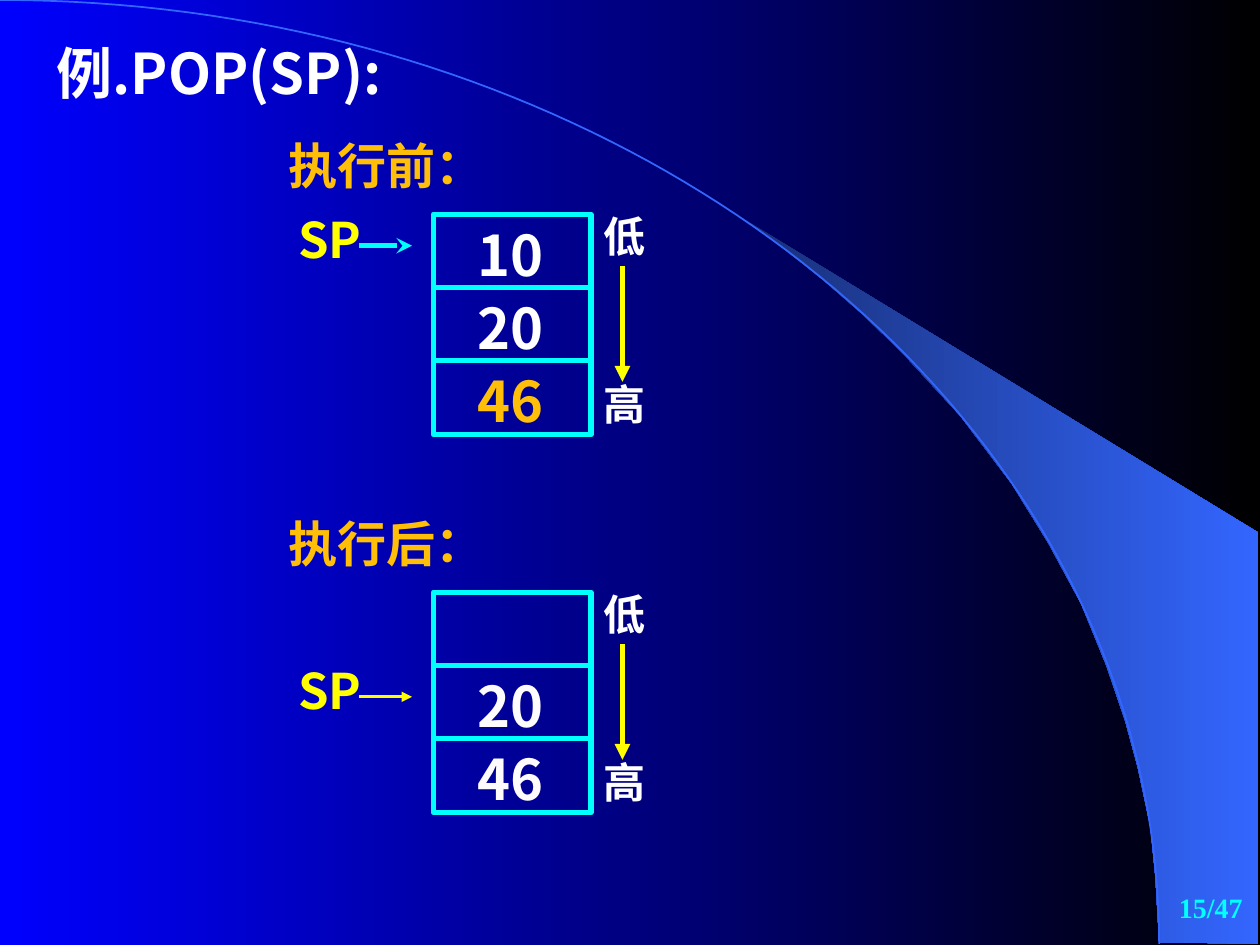
from lxml import etree
from pptx import Presentation
from pptx import util as u
from pptx.dml.color import RGBColor
from pptx.enum import shapes, text
from pptx.oxml import ns

# Content
SANS, SERIF = "Noto Sans CJK SC", "Times New Roman"
WHITE, OFF_WHITE, GOLD = "FFFFFF", "FDFBFB", "FFBF09"
YELLOW, CYAN, BLUE = "FFFF00", "00FFFF", "3366FF"

TITLE = "例.POP(SP):"
PAGE = "15/47"
STACKS = [
    {"heading": "执行前：", "width": 2, "top": 1.7, "pointer_row": 0,
     "arrow": (CYAN, 3, "stealth"),
     "cells": [("10", WHITE), ("20", WHITE), ("46", GOLD)]},
    {"heading": "执行后：", "width": 2.25, "top": 4.7, "pointer_row": 1,
     "arrow": (YELLOW, 1.5, "triangle"),
     "cells": [("", WHITE), ("20", OFF_WHITE), ("46", OFF_WHITE)]},
]
STACK_LEFT, STACK_RIGHT, STACK_HEIGHT, ROW = 3.44, 4.69, 1.75, 0.58

SWOOSH = [(9.2, 7.48), (9.99, 7.49), (9.99, 4.23), (5.89, 1.73), (6.24, 1.99),
          (6.53, 2.22), (6.85, 2.5), (7.16, 2.8), (7.62, 3.3), (8.03, 3.84),
          (8.32, 4.31), (8.58, 4.79), (8.78, 5.28), (8.93, 5.72), (9.03, 6.09),
          (9.13, 6.56), (9.17, 6.96), (9.2, 7.48)]
ARC = [(0, 0), (5.08, 0), (9.2, 3.35), (9.2, 7.49)]
ARC_STEPS = 80


def color(value):
    return RGBColor.from_string(value)


def set_gradient(fill, start, end):
    fill.gradient()
    fill.gradient_angle = 0
    for stop, value in zip(fill.gradient_stops, (start, end)):
        stop.color.rgb = color(value)


def set_line(shape, value, width):
    shape.line.color.rgb = color(value)
    shape.line.width = u.Pt(width)


def write(shape, words, size, value, font=SANS, spacing=None,
          align=text.PP_ALIGN.LEFT, anchor=text.MSO_ANCHOR.TOP):
    frame = shape.text_frame
    frame_format = {"word_wrap": True, "auto_size": text.MSO_AUTO_SIZE.NONE,
                    "vertical_anchor": anchor}
    for name, setting in frame_format.items():
        setattr(frame, name, setting)
    paragraph = frame.paragraphs[0]
    paragraph.alignment = align
    paragraph.line_spacing = spacing
    run = paragraph.add_run()
    run.text = words
    for name, setting in {"size": u.Pt(size), "bold": True, "name": font}.items():
        setattr(run.font, name, setting)
    run.font.color.rgb = color(value)
    east_asian = etree.SubElement(run.font._element, ns.qn("a:ea"))
    east_asian.set("typeface", SANS)


def add_text(box, *args, **kwargs):
    shape = slide.shapes.add_textbox(*map(u.Inches, box))
    write(shape, *args, **kwargs)


def add_line(start, end, value, width, head=None):
    line = slide.shapes.add_connector(
        shapes.MSO_CONNECTOR.STRAIGHT, *map(u.Inches, start + end))
    set_line(line, value, width)
    if head:
        tail = etree.SubElement(line.line._get_or_add_ln(), ns.qn("a:tailEnd"))
        tail.set("type", head)
    etree.SubElement(line._element.spPr, ns.qn("a:effectLst"))


def add_freeform(points, close):
    builder = slide.shapes.build_freeform(
        *map(u.Inches, points[0]), scale=1.0)
    builder.add_line_segments(
        [(u.Inches(x), u.Inches(y)) for x, y in points[1:]], close=close)
    shape = builder.convert_to_shape()
    shape.shadow.inherit = False
    return shape


def arc_point(t):
    weights = ((1 - t) ** 3, 3 * t * (1 - t) ** 2, 3 * t ** 2 * (1 - t), t ** 3)
    return tuple(sum(w * p[axis] for w, p in zip(weights, ARC)) for axis in (0, 1))


def add_stack(stack):
    top = stack["top"]
    add_text((2.19, top - 0.67, stack["width"], 0.57),
             stack["heading"], 28, GOLD, font=SERIF)

    # Memory cells
    frame = slide.shapes.add_shape(
        shapes.MSO_SHAPE.RECTANGLE, u.Inches(STACK_LEFT), u.Inches(top),
        u.Inches(STACK_RIGHT - STACK_LEFT), u.Inches(STACK_HEIGHT))
    frame.shadow.inherit = False
    frame.fill.background()
    set_line(frame, CYAN, 3)
    for row, (value, shade) in enumerate(stack["cells"]):
        y = top + row * ROW
        if row:
            add_line((STACK_LEFT, y), (STACK_RIGHT, y), CYAN, 3)
        if value:
            add_text((3.69, y, 1, 0.64), value, 32, shade)

    # Stack pointer
    pointer_top = top + stack["pointer_row"] * ROW
    add_text((2.27, pointer_top, 1.08, 0.48), "SP", 28, YELLOW, spacing=0.8)
    add_line((2.85, pointer_top + 0.25), (3.27, pointer_top + 0.25), *stack["arrow"])

    # Address direction
    for label, offset, width in (("低", 0, 0.75), ("高", 1.33, 0.58)):
        add_text((STACK_RIGHT, top + offset, width, 0.42),
                 label, 24, WHITE, spacing=0.8)
    add_line((4.94, top + 0.41), (4.94, top + 1.33), YELLOW, 3, "triangle")


presentation = Presentation()
presentation.slide_width, presentation.slide_height = u.Inches(10), u.Inches(7.5)
slide = presentation.slides.add_slide(presentation.slide_layouts[5])

# Background
set_gradient(slide.background.fill, "0000FF", "000000")
swoosh = add_freeform(SWOOSH, close=True)
set_gradient(swoosh.fill, "182F76", BLUE)
swoosh.line.fill.background()
arc = add_freeform([arc_point(i / ARC_STEPS) for i in range(ARC_STEPS + 1)], close=False)
arc.fill.background()
set_line(arc, BLUE, 1)

# Title, moved in front of the background
title = slide.shapes.title
slide.shapes._spTree.append(title._element)
for name, inches in {"left": 0.35, "top": 0.36, "width": 3.08, "height": 0.53}.items():
    setattr(title, name, u.Inches(inches))
write(title, TITLE, 32, WHITE, spacing=0.8)

# Stacks before and after the instruction
for stack in STACKS:
    add_stack(stack)

# Page number
add_text((7.88, 6.95, 2.08, 0.5), PAGE, 16, CYAN, font=SERIF,
         align=text.PP_ALIGN.RIGHT, anchor=text.MSO_ANCHOR.MIDDLE)

presentation.save("out.pptx")
